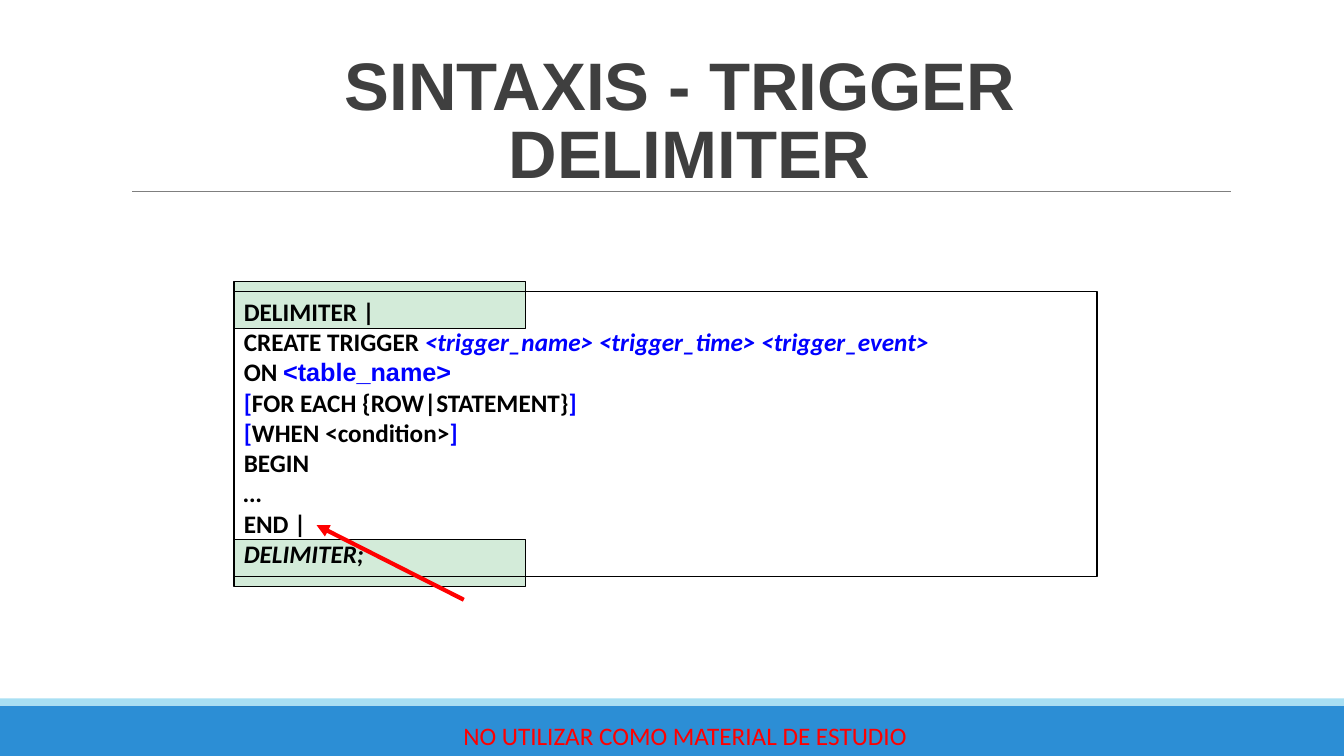
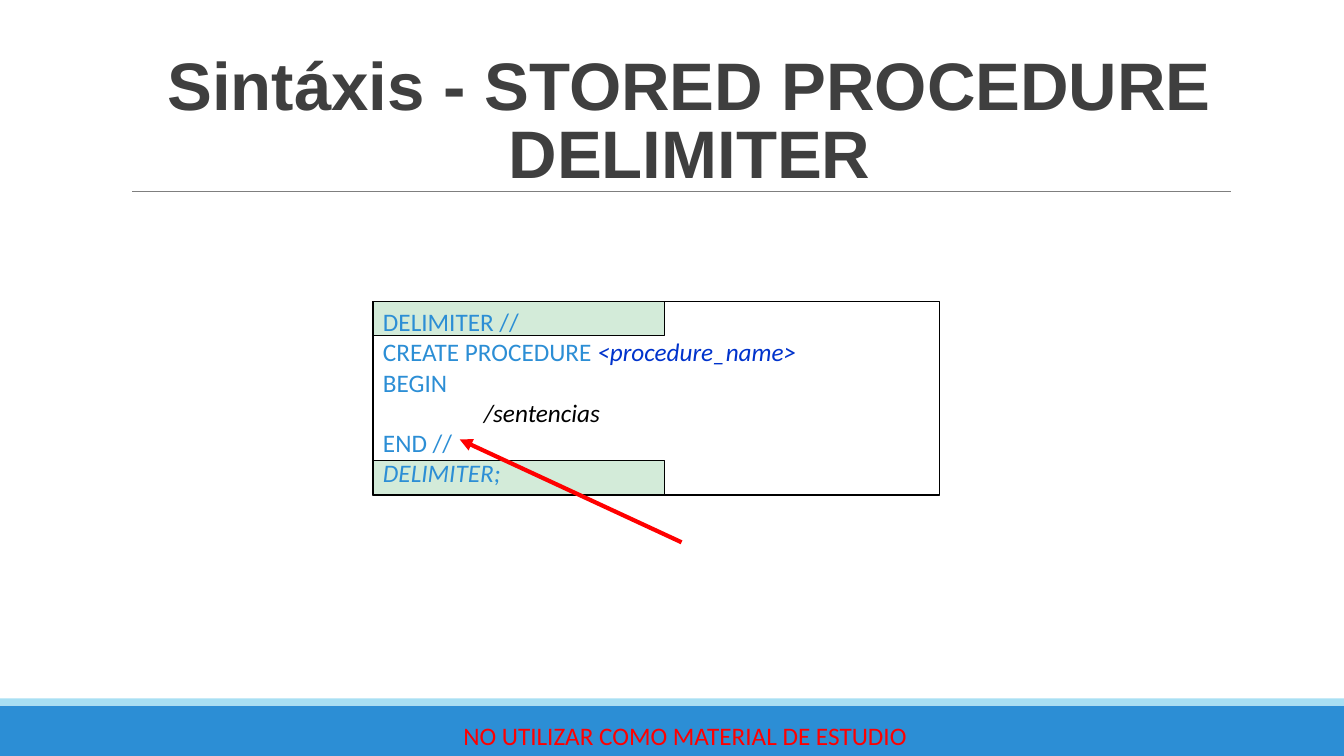
from pptx import Presentation
from pptx.dml.color import RGBColor
from pptx.enum.shapes import MSO_CONNECTOR, MSO_SHAPE
from pptx.enum.text import MSO_ANCHOR, MSO_AUTO_SIZE, PP_ALIGN
from pptx.oxml.ns import qn
from pptx.util import Inches, Pt
from lxml.etree import SubElement

HUES = {
    "band": "2C8ED5", "strip": "A8DFF3", "rule": "7F7F7F", "title": "3F3F3F",
    "mark": "D3EBD9", "ink": "000000", "red": "FF0000",
    "blue": "0000FF", "navy": "0033CC",
}
WIDE, HIGH = 13.33, 7.5

BASE = {"name": "Calibri", "size": Pt(18)}
BOLD = BASE | {"bold": True}
STYLES = {
    "title": {"name": "Arial", "size": Pt(48), "bold": True, "hue": "title"},
    "foot": BASE | {"hue": "red"},
    "code": BOLD | {"hue": "ink"},
    "end": BOLD | {"hue": "ink", "italic": True},
    "sign": BOLD | {"hue": "blue"},
    "name": BOLD | {"hue": "blue", "italic": True},
    "table": BOLD | {"name": "Arial", "hue": "blue"},
    "word": BASE | {"hue": "band"},
    "close": BASE | {"hue": "band", "italic": True},
    "proc": BASE | {"hue": "navy", "italic": True},
    "body": BASE | {"hue": "ink", "italic": True},
}

# Each line of code is a list of (text, style) runs.
TRIGGER = [
    [("DELIMITER |", "code")],
    [("CREATE TRIGGER ", "code"),
     ("<trigger_name> <trigger_time> <trigger_event>", "name")],
    [("ON ", "code"), ("<table_name>", "table")],
    [("[", "sign"), ("FOR EACH {ROW|STATEMENT}", "code"), ("]", "sign")],
    [("[", "sign"), ("WHEN <condition>", "code"), ("]", "sign")],
    [("BEGIN", "code")],
    [("…", "end")],
    [("END |", "code")],
    [("DELIMITER;", "end")],
]
PROCEDURE = [
    [("DELIMITER //", "word")],
    [("CREATE PROCEDURE ", "word"), ("<procedure_name>", "proc")],
    [("BEGIN", "word")],
    [("/sentencias", "body")],
    [("END //", "word")],
    [("DELIMITER;", "close")],
]


def tint(name):
    return RGBColor.from_string(HUES[name])


def add_rect(slide, box, fill, edge=None):
    rect = slide.shapes.add_shape(MSO_SHAPE.RECTANGLE, *map(Inches, box))
    rect.shadow.inherit = False
    rect.fill.solid()
    rect.fill.fore_color.rgb = tint(fill)
    if edge:
        rect.line.color.rgb = tint(edge)
        rect.line.width = Pt(1)
    else:
        rect.line.fill.background()


def add_line(slide, start, stop, hue, width, arrow=False):
    line = slide.shapes.add_connector(
        MSO_CONNECTOR.STRAIGHT, *map(Inches, start + stop))
    line.line.color.rgb = tint(hue)
    line.line.width = Pt(width)
    if arrow:
        SubElement(line.line._get_or_add_ln(), qn("a:tailEnd"), type="triangle")
    SubElement(line._element.spPr, qn("a:effectLst"))


def add_text(slide, box, lines, align=PP_ALIGN.LEFT, anchor=MSO_ANCHOR.TOP,
             space=None):
    text = slide.shapes.add_textbox(*map(Inches, box))
    frame = text.text_frame
    frame.word_wrap = True
    frame.vertical_anchor = anchor
    for i, line in enumerate(lines):
        para = frame.add_paragraph() if i else frame.paragraphs[0]
        para.alignment = align
        para.line_spacing = space
        for words, style in line:
            run = para.add_run()
            run.text = words
            for key, value in STYLES[style].items():
                if key == "hue":
                    run.font.color.rgb = tint(value)
                else:
                    setattr(run.font, key, value)
    return text


def add_frame(slide):
    """Draw the bands, title rule and footer that every slide has."""
    add_rect(slide, (0, 7, WIDE, 0.5), "band")
    add_rect(slide, (0, 6.93, WIDE, 0.07), "strip")
    add_line(slide, (1.31, 1.9), (12.21, 1.9), "rule", 0.75)
    add_text(slide, (4.16, 7.1, 5.27, 0.4),
             [[("NO UTILIZAR COMO MATERIAL DE ESTUDIO", "foot")]],
             PP_ALIGN.CENTER, MSO_ANCHOR.MIDDLE)


def add_title(slide, lines):
    add_text(slide, (1.33, 0.2, 11.02, 1.76),
             [[(line, "title")] for line in lines],
             PP_ALIGN.CENTER, MSO_ANCHOR.BOTTOM, 0.85)


def add_code(slide, box, lines, bar, out=0, inset=None):
    """Draw code over bars on its first and last lines.

    The bars are bar high and stand out past the box by out;
    inset is the index of a line to indent.
    """
    left, top, _, high = box
    for y in (top - out, top + high + out - bar):
        add_rect(slide, (left, y, 2.89, bar), "mark", "ink")
    code = add_text(slide, box, lines)
    code.line.color.rgb = tint("ink")
    code.line.width = Pt(1)
    code.text_frame.auto_size = MSO_AUTO_SIZE.SHAPE_TO_FIT_TEXT
    if inset is not None:
        para = code.text_frame.paragraphs[inset]
        para._p.get_or_add_pPr().set("marL", str(Inches(1)))


def add_slide(deck, title, code, start, stop):
    slide = deck.slides.add_slide(deck.slide_layouts[6])
    add_frame(slide)
    add_title(slide, title)
    add_code(slide, **code)
    add_line(slide, start, stop, "red", 3, arrow=True)


def main():
    deck = Presentation()
    deck.slide_width, deck.slide_height = Inches(WIDE), Inches(HIGH)
    add_slide(deck, ["SINTAXIS - TRIGGER ", "DELIMITER"],
              {"box": (2.32, 2.89, 8.56, 2.83), "lines": TRIGGER,
               "bar": 0.47, "out": 0.1},
              (4.6, 5.95), (3.14, 5.21))
    add_slide(deck, ["Sintáxis - STORED PROCEDURE", "DELIMITER"],
              {"box": (3.7, 2.99, 5.62, 1.92), "lines": PROCEDURE,
               "bar": 0.34, "inset": 3},
              (6.76, 5.38), (4.56, 4.36))
    deck.save("out.pptx")


if __name__ == "__main__":
    main()
